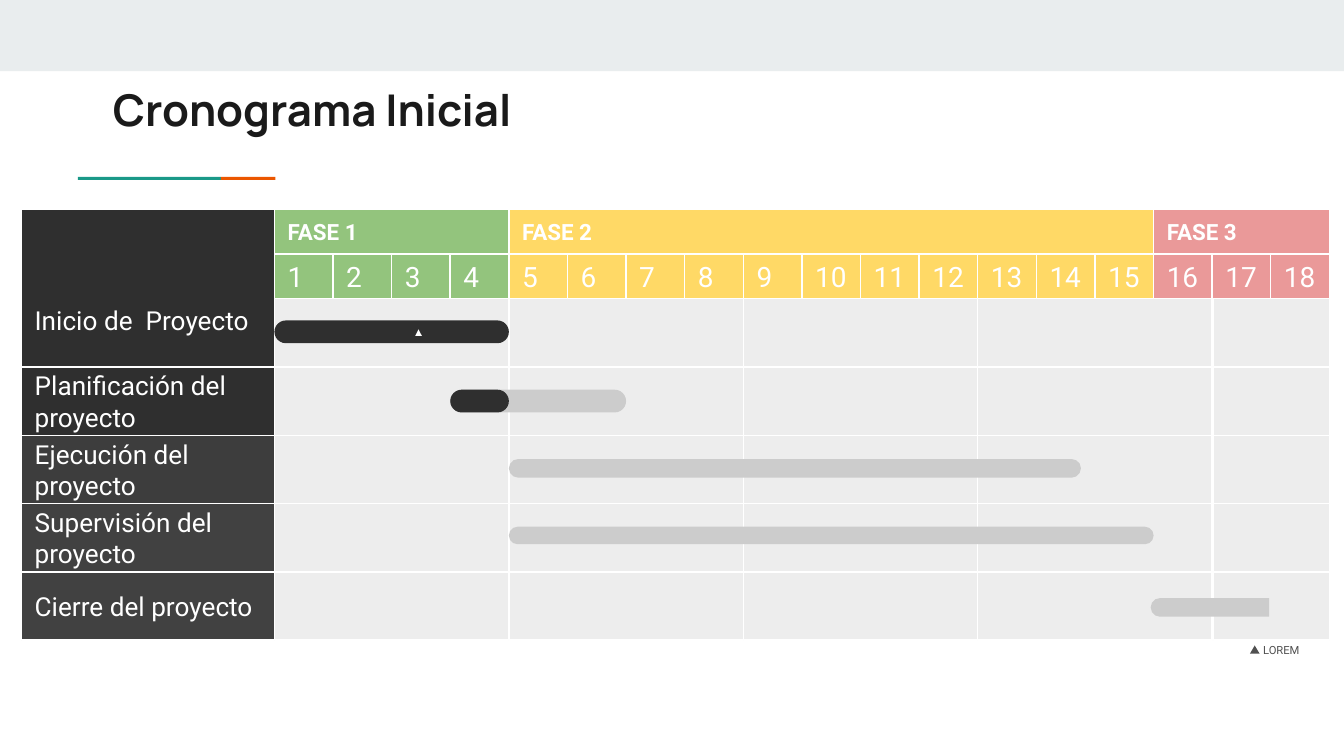
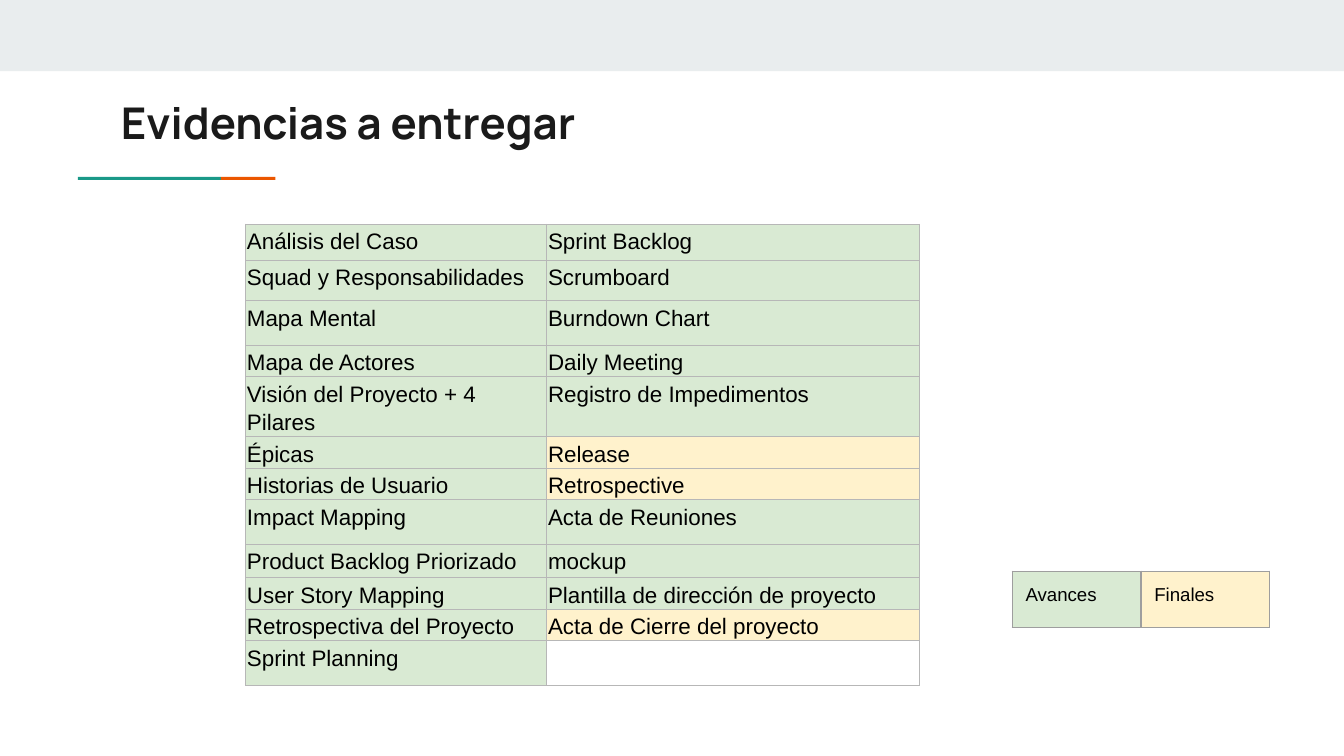
"""Build the two project slides: the schedule and the deliverables."""
from dataclasses import dataclass

from lxml import etree
from pptx import Presentation
from pptx.dml.color import RGBColor
from pptx.enum.shapes import MSO_SHAPE
from pptx.enum.text import MSO_ANCHOR, MSO_AUTO_SIZE, PP_ALIGN
from pptx.oxml.ns import qn
from pptx.util import Pt

RECT = MSO_SHAPE.RECTANGLE
BAR = MSO_SHAPE.ROUND_2_SAME_RECTANGLE
TRIANGLE = MSO_SHAPE.ISOSCELES_TRIANGLE
TOP, MIDDLE, BOTTOM = MSO_ANCHOR.TOP, MSO_ANCHOR.MIDDLE, MSO_ANCHOR.BOTTOM
LEFT = PP_ALIGN.LEFT
NO_FIT = MSO_AUTO_SIZE.NONE
TITLE_ONLY = 5
INSET = 7.2


@dataclass(frozen=True)
class Theme:
    """Colours, fonts and type sizes of the deck."""
    white: str = "FFFFFF"
    black: str = "000000"
    ink: str = "1A1A1A"
    band: str = "E9EDEE"
    teal: str = "1A9988"
    orange: str = "EB5600"
    green: str = "93C47D"
    yellow: str = "FFD966"
    red: str = "EA9999"
    grid: str = "EDEDED"
    pending: str = "CCCCCC"
    dark: str = "2F2F2F"
    dark_mid: str = "3D3D3D"
    dark_soft: str = "414141"
    caption: str = "505050"
    progress: str = "D9EAD3"
    final: str = "FFF2CC"
    border: str = "B7B7B7"
    key_border: str = "9E9E9E"
    heading: str = "Manrope"
    label: str = "Roboto"
    body: str = "Arial"
    title_size: float = 23.4
    month_size: float = 15
    task_size: float = 14
    phase_size: float = 12
    cell_size: float = 12
    key_size: float = 10
    caption_size: float = 6


class Deck:
    """Hold the theme and the current slide, and draw each kind of element."""

    def __init__(self, theme):
        self.theme = theme
        self.prs = Presentation()
        self.prs.slide_width, self.prs.slide_height = Pt(720), Pt(405)
        self.s = None

    def slide(self, title, left, top):
        """Add a slide with its band, accent rule and title."""
        t = self.theme
        self.s = self.prs.slides.add_slide(self.prs.slide_layouts[TITLE_ONLY])
        self.shape(RECT, 0, 0, 720, 38.2, t.band)
        self.shape(RECT, 41.8, 94.8, 76.6, 1.6, t.teal)
        self.shape(RECT, 118.4, 94.8, 29.2, 1.6, t.orange)
        sp = self.s.shapes.title
        box = dict(left=left, top=top, width=605.5, height=42.5)
        for name, value in box.items():
            setattr(sp, name, Pt(value))
        self.label(sp.text_frame, title, t.title_size, t.ink, t.heading,
                   bold=True, anchor=TOP)

    def label(self, tf, text, size, color, font, bold=False, anchor=MIDDLE,
              bottom=INSET):
        """Fill a text frame with one formatted paragraph."""
        frame = dict(word_wrap=True, auto_size=NO_FIT, vertical_anchor=anchor,
                     margin_left=Pt(INSET), margin_right=Pt(INSET),
                     margin_top=Pt(INSET), margin_bottom=Pt(bottom))
        for name, value in frame.items():
            setattr(tf, name, value)
        self.add_run(tf.paragraphs[0], text, size, color, font, bold)

    def add_run(self, p, text, size, color, font, bold=False):
        """Add one formatted run to a paragraph."""
        p.alignment = LEFT
        r = p.add_run()
        r.text = text
        for name, value in dict(name=font, size=Pt(size), bold=bold).items():
            setattr(r.font, name, value)
        r.font.color.rgb = RGBColor.from_string(color)

    def shape(self, kind, left, top, width, height, fill, line=None):
        """Add a flat preset shape."""
        sp = self.s.shapes.add_shape(kind, Pt(left), Pt(top), Pt(width), Pt(height))
        sp.shadow.inherit = False
        sp.fill.solid()
        sp.fill.fore_color.rgb = RGBColor.from_string(fill)
        if line:
            sp.line.color.rgb = RGBColor.from_string(line)
            sp.line.width = Pt(0.75)
        else:
            sp.line.fill.background()
        return sp

    def box(self, left, top, width, height, fill, text=None, size=12, **style):
        """Add a white-edged schedule cell, with a label if given."""
        t = self.theme
        sp = self.shape(RECT, left, top, width, height, fill, t.white)
        if text:
            self.label(sp.text_frame, text, size, t.white, t.label, **style)

    def bar(self, left, right, middle, thick, fill, right_round=0.5):
        """Add a horizontal bar with a round left end."""
        length = right - left
        sp = self.shape(BAR, (left + right - thick) / 2, middle - length / 2,
                        thick, length, fill)
        sp.rotation = 90
        sp.adjustments[0], sp.adjustments[1] = right_round, 0.5

    def text(self, left, top, width, height, text, size, color):
        """Add a text box."""
        sp = self.s.shapes.add_textbox(Pt(left), Pt(top), Pt(width), Pt(height))
        self.label(sp.text_frame, text, size, color, self.theme.label)

    def borders(self, cell, color, width):
        """Draw the four edges of a table cell."""
        tcPr = cell._tc.get_or_add_tcPr()
        for edge in ("a:lnL", "a:lnR", "a:lnT", "a:lnB"):
            ln = etree.SubElement(tcPr, qn(edge), w=str(int(Pt(width))))
            fill = etree.SubElement(ln, qn("a:solidFill"))
            etree.SubElement(fill, qn("a:srgbClr"), val=color)

    def table(self, left, top, widths, heights, rows, size, inset, border,
              line_width, spacing=None):
        """Add a table whose rows hold (text, fill) pairs."""
        t = self.theme
        tbl = self.s.shapes.add_table(len(rows), len(widths), Pt(left), Pt(top),
                                      Pt(sum(widths)), Pt(sum(heights))).table
        tbl.first_row = tbl.horz_banding = False
        for col, width in zip(tbl.columns, widths):
            col.width = Pt(width)
        for row, height, items in zip(tbl.rows, heights, rows):
            row.height = Pt(height)
            for cell, (text, fill) in zip(row.cells, items):
                for side in ("left", "right", "top", "bottom"):
                    setattr(cell, f"margin_{side}", Pt(inset))
                self.borders(cell, border, line_width)
                if fill:
                    cell.fill.solid()
                    cell.fill.fore_color.rgb = RGBColor.from_string(fill)
                else:
                    cell.fill.background()
                if text:
                    p = cell.text_frame.paragraphs[0]
                    p.line_spacing = spacing
                    self.add_run(p, text, size, t.black, t.body)


def schedule(deck):
    """Draw the Gantt chart."""
    t = deck.theme
    deck.slide("Cronograma Inicial", 53.3, 37.4)
    x0, month, label_x = 147, 31.4, 11.5
    head_y, head_h, row_y, row_h = 112, 24, 160, 36.6

    def at(months):
        return x0 + months * month

    phases = [("FASE 1", 0, 4, t.green), ("FASE 2", 4, 15, t.yellow),
              ("FASE 3", 15, 18, t.red)]
    tasks = [("Planificación del proyecto", t.dark),
             ("Ejecución del proyecto", t.dark_mid),
             ("Supervisión del proyecto", t.dark_soft),
             ("Cierre del proyecto", t.dark_soft)]
    columns = [(at(n), 4 * month) for n in range(0, 16, 4)] + [(650.2, 62)]
    bars = [(0, 4, 177.8, 12.2, t.dark, 0.5),
            (3, 6, 214.9, 12.2, t.pending, 0.5),
            (3, 4, 214.9, 12.2, t.dark, 0.5),
            (4, 13.76, 250.9, 10, t.pending, 0.5),
            (4, 15, 286.9, 9.4, t.pending, 0.5),
            (14.95, 16.97, 325.4, 10, t.pending, 0)]

    for i in range(len(tasks) + 1):
        for x, width in columns:
            deck.box(x, row_y + i * row_h, width, row_h, t.grid)
    for i, (name, fill) in enumerate(tasks, 1):
        deck.box(label_x, row_y + i * row_h, x0 - label_x, row_h, fill, name,
                 t.task_size)
    deck.box(label_x, head_y, x0 - label_x, row_y + row_h - head_y, t.dark,
             "Inicio de  Proyecto", t.task_size, anchor=BOTTOM, bottom=16.6)
    for name, start, end, fill in phases:
        deck.box(at(start), head_y, (end - start) * month, head_h, fill, name,
                 t.phase_size, bold=True)
        for n in range(start, end):
            deck.box(at(n), head_y + head_h, month, head_h, fill, str(n + 1),
                     t.month_size)
    for start, end, middle, thick, fill, right_round in bars:
        deck.bar(at(start), at(end), middle, thick, fill, right_round)
    deck.shape(TRIANGLE, 222.4, 176.4, 3.6, 3.6, t.white)
    deck.text(669.6, 344.5, 42, 8, "LOREM", t.caption_size, t.caption)
    deck.shape(TRIANGLE, 669.6, 345.8, 5.2, 4.4, t.caption)


def deliverables(deck):
    """Draw the deliverables table and its colour key."""
    t = deck.theme
    deck.slide("Evidencias a entregar", 57.6, 43.9)
    items = [("Análisis del Caso", "Sprint Backlog", 19.4),
             ("Squad y Responsabilidades", "Scrumboard", 21.6),
             ("Mapa Mental", "Burndown Chart", 23.8),
             ("Mapa de Actores", "Daily Meeting", 15.1),
             ("Visión del Proyecto + 4 Pilares", "Registro de Impedimentos", 18),
             ("Épicas", "Release", 15.8),
             ("Historias de Usuario", "Retrospective", 15.8),
             ("Impact Mapping", "Acta de Reuniones", 23.8),
             ("Product Backlog Priorizado", "mockup", 18),
             ("User Story Mapping", "Plantilla de dirección de proyecto", 15.1),
             ("Retrospectiva del Proyecto", "Acta de Cierre del proyecto", 16.6),
             ("Sprint Planning", "", 23.8)]
    fills = {"": None, "Release": t.final, "Retrospective": t.final,
             "Acta de Cierre del proyecto": t.final}
    rows = [[(text, fills.get(text, t.progress)) for text in pair]
            for *pair, _ in items]
    deck.table(131.6, 120.2, [161.3, 199.6], [item[-1] for item in items], rows,
               t.cell_size, 0.7, t.border, 0.56, 1.15)
    deck.table(542.2, 306, [69, 69], [30.2],
               [[("Avances", t.progress), ("Finales", t.final)]],
               t.key_size, INSET, t.key_border, 0.75)


def main():
    """Build and save the deck."""
    deck = Deck(Theme())
    schedule(deck)
    deliverables(deck)
    deck.prs.save("out.pptx")


if __name__ == "__main__":
    main()
